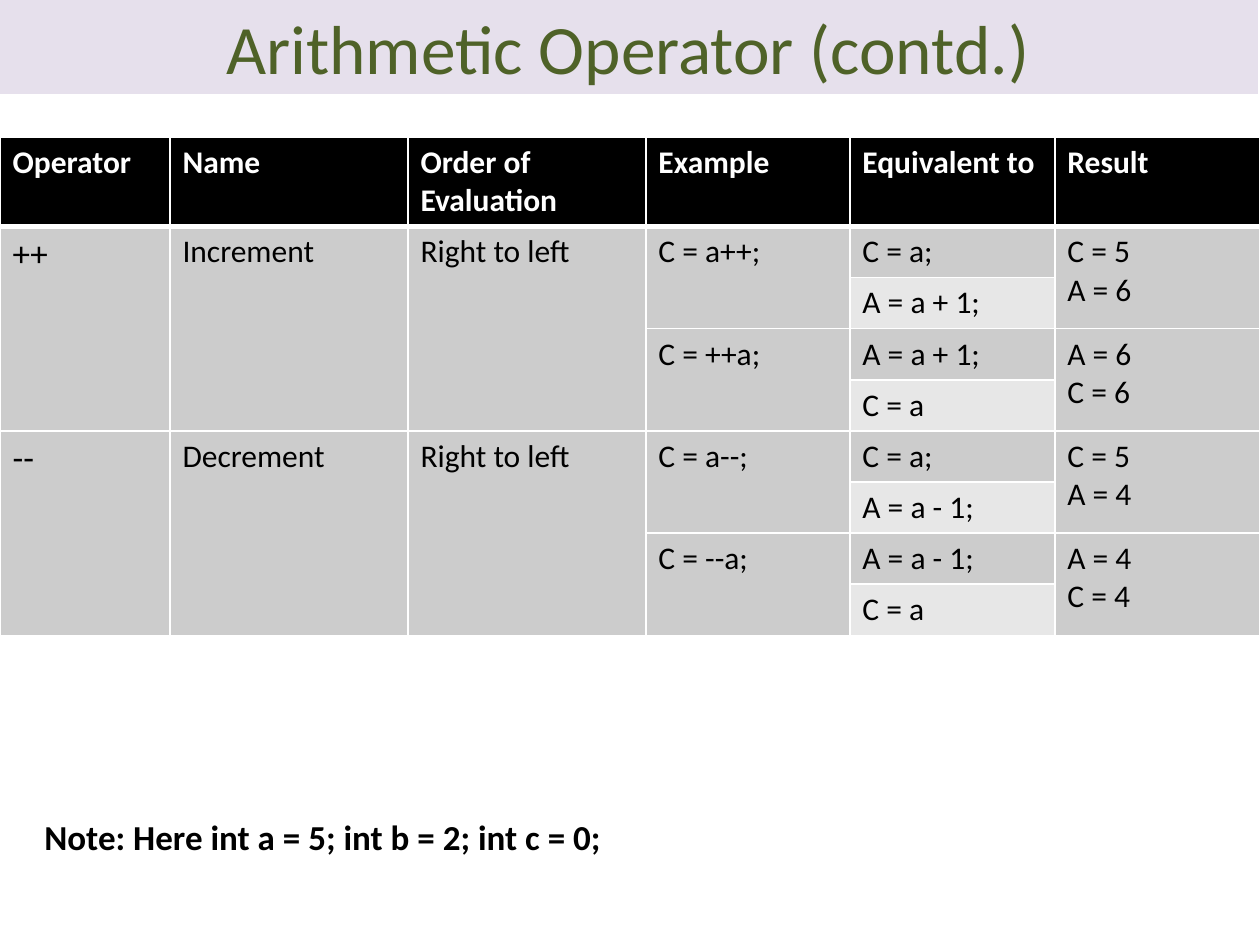
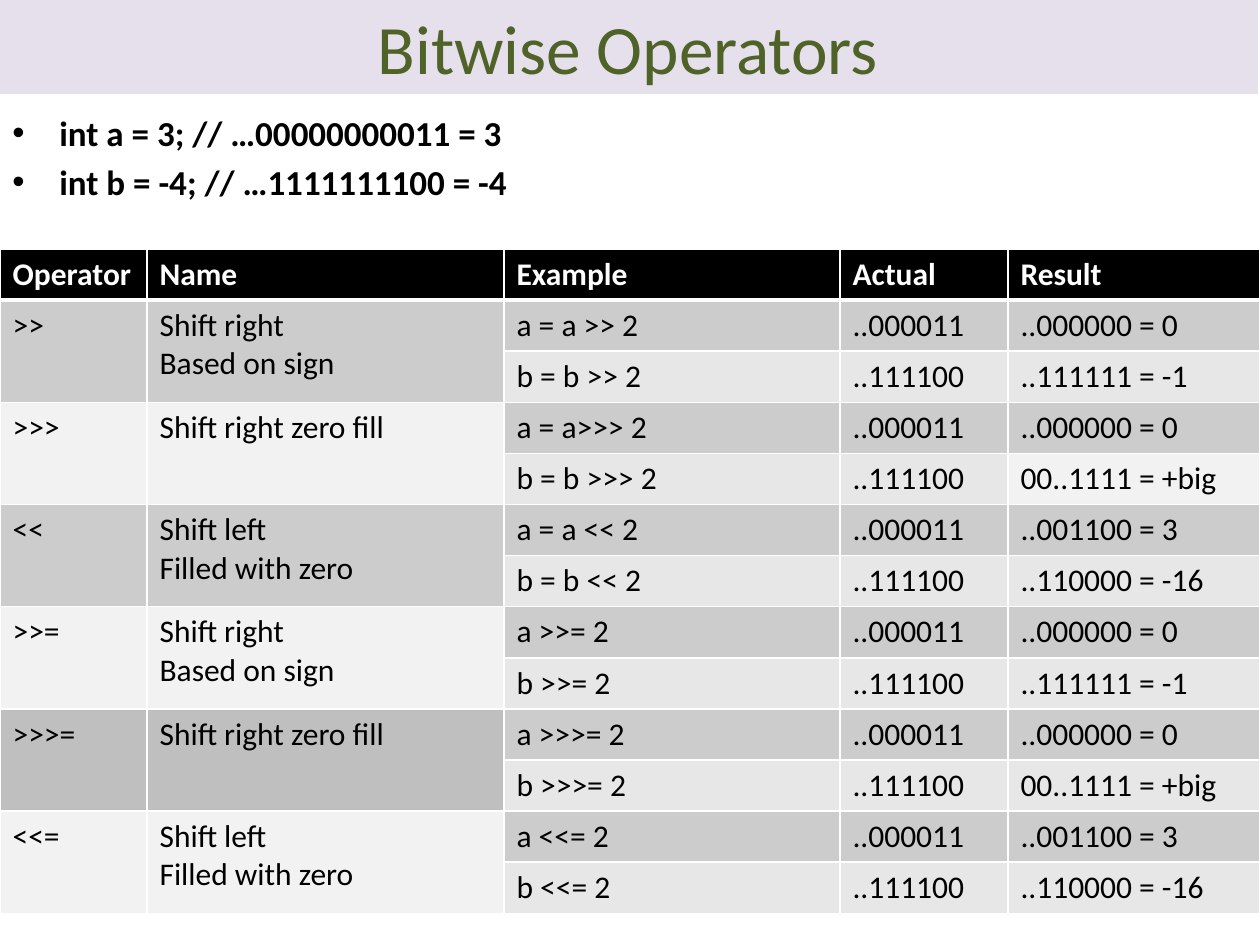
from pptx import Presentation, util as u
from pptx.dml.color import RGBColor
from pptx.enum import text
from pptx.oxml import parse_xml
from pptx.oxml.ns import nsdecls

WHITE = RGBColor(0xFF, 0xFF, 0xFF)
BLACK = RGBColor(0, 0, 0)
GREEN = RGBColor(0x4F, 0x62, 0x28)
LILAC = RGBColor(0xE6, 0xE0, 0xEC)
DARK = RGBColor(0xCC, 0xCC, 0xCC)
LIGHT = RGBColor(0xE7, 0xE7, 0xE7)
PALE = RGBColor(0xF2, 0xF2, 0xF2)
GREY = RGBColor(0xBF, 0xBF, 0xBF)
FONT = "Calibri"
WIDTH, HEIGHT = 1260, 945
ROW = 51


def px(n):
    return u.Emu(round(n * 914400 / 126))


def write(frame, words, size=18, color=BLACK, bold=False, align=None, gap=None):
    frame.text = words
    for para in frame.paragraphs:
        para.alignment = align
        para.space_before = gap
        font = para.font
        for run in para.runs:
            font = run.font
            font.name, font.size, font.bold = FONT, u.Pt(size), bold
            font.color.rgb = color


def edge(cell, side, width):
    cell._tc.get_or_add_tcPr().append(parse_xml(
        f'<a:ln{side} {nsdecls("a")} w="{u.Pt(width)}"><a:solidFill>'
        f'<a:srgbClr val="{WHITE}"/></a:solidFill></a:ln{side}>'))


class Deck:
    def __init__(self):
        self.show = Presentation()
        self.show.slide_width, self.show.slide_height = px(WIDTH), px(HEIGHT)

    def page(self, words):
        self.slide = self.show.slides.add_slide(self.show.slide_layouts[5])
        title = self.slide.shapes.title
        title.left, title.top, title.width, title.height = map(px, (-2, 0, WIDTH, 94))
        title.fill.solid()
        title.fill.fore_color.rgb = LILAC
        frame = title.text_frame
        frame.auto_size = text.MSO_AUTO_SIZE.NONE
        frame.vertical_anchor = text.MSO_ANCHOR.MIDDLE
        write(frame, words, 39.6, GREEN, align=text.PP_ALIGN.CENTER)

    def note(self, box, words, **style):
        frame = self.slide.shapes.add_textbox(*map(px, box)).text_frame
        frame.word_wrap = True
        write(frame, words, 20, bold=True, **style)
        return frame

    def bullets(self, box, lines):
        frame = self.note(box, "\n".join(lines), gap=u.Pt(4))
        for para in frame.paragraphs:
            props = para._p.get_or_add_pPr()
            props.set("marL", str(px(47)))
            props.set("indent", str(px(-47)))
            props.append(parse_xml(f'<a:buFont {nsdecls("a")} typeface="Arial"/>'))
            props.append(parse_xml(f'<a:buChar {nsdecls("a")} char="•"/>'))

    def table(self, top, cols, head, rows, tall=ROW, tints={}, sign=18):
        data = [head] + rows
        grid = self.slide.shapes.add_table(
            len(data), len(cols), 0, px(top), px(WIDTH), px(tall + ROW * len(rows))).table
        for col, width in zip(grid.columns, cols):
            col.width = px(width)
        for r, line in enumerate(data):
            grid.rows[r].height = px(ROW if r else tall)
            for c, words in enumerate(line):
                cell = grid.cell(r, c)
                for side in "LRTB":
                    thick = (r, side) in ((0, "B"), (1, "T"))
                    edge(cell, side, 3 if thick else 1)
                cell.fill.solid()
                shade = tints.get((r, c), DARK if r % 2 else LIGHT)
                cell.fill.fore_color.rgb = shade if r else BLACK
                if words is None:
                    continue
                write(cell.text_frame, words, sign if r and c == 0 else 18,
                      BLACK if r else WHITE, bold=r == 0)
                last = r
                while last + 1 < len(data) and data[last + 1][c] is None:
                    last += 1
                if last > r:
                    cell.merge(grid.cell(last, c))


deck = Deck()

deck.page("Arithmetic Operator (contd.)")
steps = []
for sign, name, after in (("+", "Increment", 6), ("-", "Decrement", 4)):
    move = f"A = a {sign} 1;"
    steps += [
        [sign * 2, name, "Right to left", f"C = a{sign * 2};", "C = a;", f"C = 5\nA = {after}"],
        [None, None, None, None, move, None],
        [None, None, None, f"C = {sign * 2}a;", move, f"A = {after}\nC = {after}"],
        [None, None, None, None, "C = a", None],
    ]
deck.table(137, (170, 238, 238, 204, 205, 205),
           ["Operator", "Name", "Order of Evaluation", "Example", "Equivalent to", "Result"],
           steps, tall=89, sign=20)
deck.note((32, 809, 766, 55), "Note: Here int a = 5; int b = 2; int c = 0;")

deck.page("Bitwise Operators")
SIGNED = "Shift right\nBased on sign", "..000000 = 0", "..111111 = -1"
ZERO = "Shift right zero fill", "..000000 = 0", "00..1111 = +big"
LEFT = "Shift left\nFilled with zero", "..001100 = 3", "..110000 = -16"
shifts = (
    (">>", "a = a >> 2", "b = b >> 2", SIGNED, DARK),
    (">>>", "a = a>>> 2", "b = b >>> 2", ZERO, PALE),
    ("<<", "a = a << 2", "b = b << 2", LEFT, DARK),
    (">>=", "a >>= 2", "b >>= 2", SIGNED, PALE),
    (">>>=", "a >>>= 2", "b >>>= 2", ZERO, GREY),
    ("<<=", "a <<= 2", "b <<= 2", LEFT, PALE),
)
lines, tints = [], {(4, 4): PALE}
for sign, first, second, (name, high, low), shade in shifts:
    for col in (0, 1):
        tints[len(lines) + 1, col] = shade
        tints[len(lines) + 2, col] = shade
    lines += [[sign, name, first, "..000011", high],
              [None, None, second, "..111100", low]]
deck.table(249, (147, 357, 336, 168, 252),
           ["Operator", "Name", "Example", "Actual", "Result"], lines, tints=tints)
deck.bullets((0, 105, WIDTH, 106),
             ["int a = 3; // …00000000011 = 3", "int b = -4; // …1111111100 = -4"])

deck.show.save("out.pptx")
